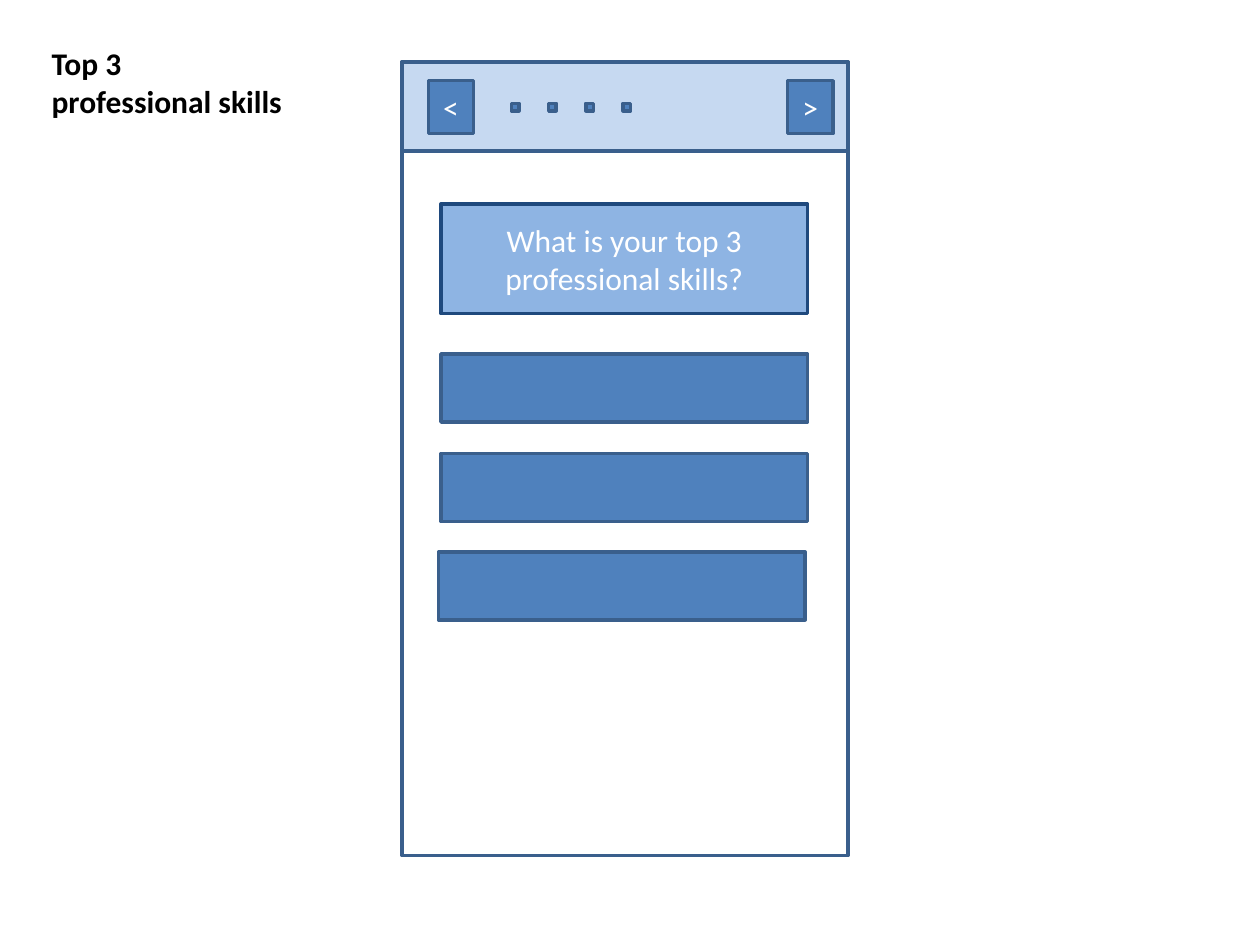
from pptx import Presentation
from pptx.dml.color import RGBColor
from pptx.enum.shapes import MSO_SHAPE
from pptx.enum.text import MSO_ANCHOR, MSO_AUTO_SIZE, PP_ALIGN
from pptx.util import Inches, Pt

RECTANGLE = MSO_SHAPE.RECTANGLE
TOP, MIDDLE = MSO_ANCHOR.TOP, MSO_ANCHOR.MIDDLE
LEFT, CENTER = PP_ALIGN.LEFT, PP_ALIGN.CENTER
FIT_SHAPE = MSO_AUTO_SIZE.SHAPE_TO_FIT_TEXT

COLORS = {
    "black": "000000",
    "white": "FFFFFF",
    "button": "4F81BD",
    "outline": "3A5F8C",
    "header": "C6D9F1",
    "question": "8EB4E3",
    "question_outline": "1F497D",
}

presentation = Presentation()
presentation.slide_width = Inches(10)
presentation.slide_height = Inches(7.5)
slide = presentation.slides.add_slide(presentation.slide_layouts[5])


def write_text(shape, text, color="white", bold=False, align=CENTER, anchor=MIDDLE):
    frame = shape.text_frame
    frame.text = text
    frame.word_wrap = True
    frame.vertical_anchor = anchor
    for paragraph in frame.paragraphs:
        paragraph.alignment = align
        paragraph.font.name = "Calibri"
        paragraph.font.size = Pt(18)
        paragraph.font.bold = bold
        paragraph.font.color.rgb = RGBColor.from_string(COLORS[color])


def add_box(left, top, width, height, fill="button", outline="outline"):
    shape = slide.shapes.add_shape(
        RECTANGLE, Inches(left), Inches(top), Inches(width), Inches(height)
    )
    shape.shadow.inherit = False
    if fill:
        shape.fill.solid()
        shape.fill.fore_color.rgb = RGBColor.from_string(COLORS[fill])
    else:
        shape.fill.background()
    shape.line.color.rgb = RGBColor.from_string(COLORS[outline])
    shape.line.width = Pt(2)
    return shape


add_box(3.19, 0.49, 3.54, 6.3, fill=None)

title = slide.shapes.title
title.left, title.top = Inches(0.31), Inches(0.3)
title.width, title.height = Inches(2.17), Inches(0.71)
write_text(title, "Top 3\nprofessional skills", color="black", bold=True,
           align=LEFT, anchor=TOP)
title.text_frame.auto_size = FIT_SHAPE

add_box(3.19, 0.49, 3.54, 0.71, fill="header")
for left, label in ((3.4, "<"), (6.25, ">")):
    write_text(add_box(left, 0.64, 0.36, 0.42), label)

for step in range(4):
    add_box(4.06 + step * 0.295, 0.82, 0.06, 0.06)

question = add_box(3.5, 1.62, 2.91, 0.87, fill="question", outline="question_outline")
write_text(question, "What is your top 3 professional skills?")

for left, top in ((3.5, 2.81), (3.5, 3.6), (3.48, 4.38)):
    add_box(left, top, 2.91, 0.54)

presentation.save("out.pptx")
